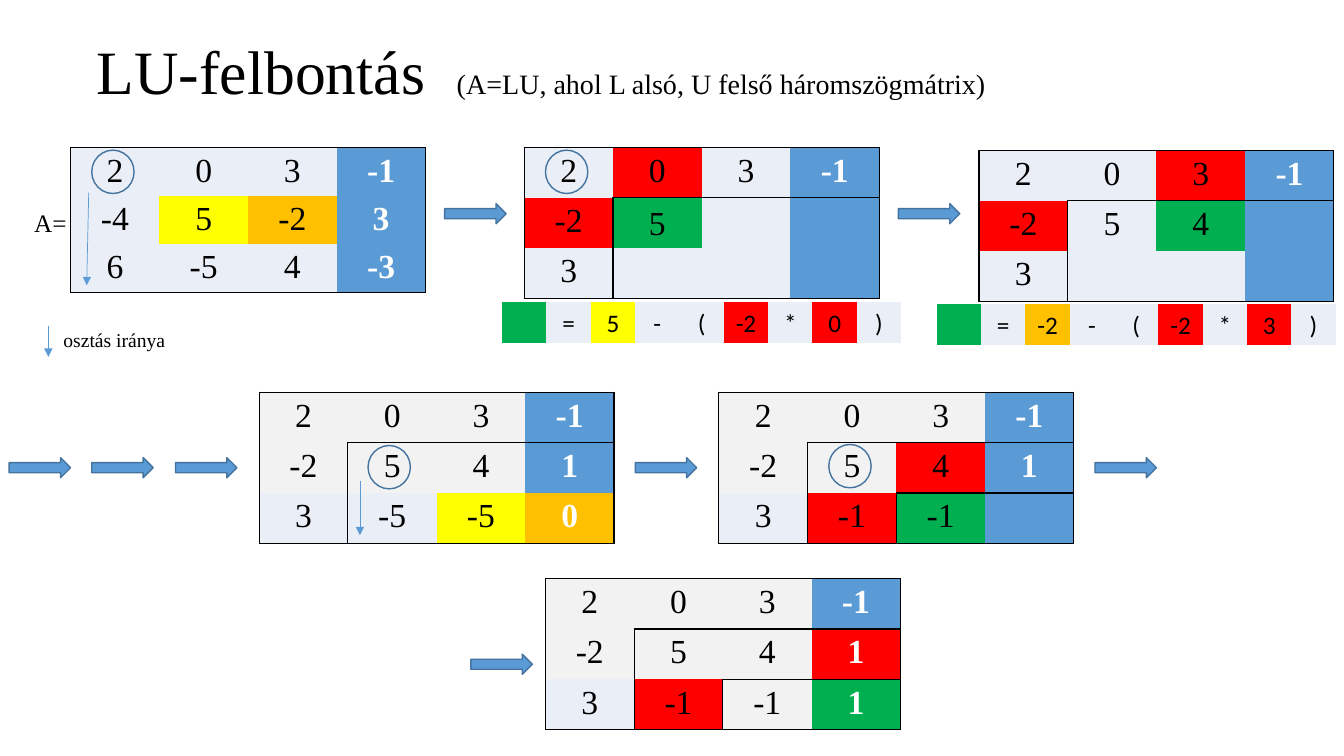
from lxml import etree
from pptx import Presentation
from pptx.dml.color import RGBColor
from pptx.enum import shapes, text
from pptx.oxml import ns
from pptx.util import Inches, Pt

BLACK = RGBColor(0, 0, 0)
WHITE = RGBColor(255, 255, 255)
BLUE = RGBColor(0x5B, 0x9B, 0xD5)
DARK_BLUE = RGBColor(0x43, 0x73, 0x9E)
FILLS = {
    "L": RGBColor(0xEA, 0xEF, 0xF7),
    "G": RGBColor(0xF2, 0xF2, 0xF2),
    "B": BLUE,
    "R": RGBColor(0xFF, 0, 0),
    "Y": RGBColor(0xFF, 0xFF, 0),
    "O": RGBColor(0xFF, 0xC0, 0),
    "N": RGBColor(0, 0xB0, 0x50),
}
SERIF = "Times New Roman"
SANS = "Calibri"
EMPTY = "."


def sub(parent, tag, **attrs):
    return etree.SubElement(parent, ns.qn(tag), **attrs)


class SlideBuilder:
    def __init__(self, s):
        self.s = s

    def style(self, r, size, font=SERIF, color=BLACK, bold=False):
        r.font.size = Pt(size)
        r.font.name = font
        r.font.color.rgb = color
        r.font.bold = bold

    def title(self, heading, note):
        sp = self.s.shapes.title
        sp.left, sp.top = Inches(0.86), Inches(0.01)
        sp.width, sp.height = Inches(11.5), Inches(1.45)
        tf = sp.text_frame
        tf.auto_size = text.MSO_AUTO_SIZE.NONE
        tf.vertical_anchor = text.MSO_ANCHOR.MIDDLE
        p = tf.paragraphs[0]
        p.alignment = text.PP_ALIGN.LEFT
        p.line_spacing = 0.9
        tabs = sub(p._p.get_or_add_pPr(), "a:tabLst")
        sub(tabs, "a:tab", pos=str(Inches(3.57)), algn="l")
        for words, size in ((heading + "\t", 44), (note, 20)):
            r = p.add_run()
            r.text = words
            self.style(r, size)

    def label(self, words, x, y, w, h, size):
        tf = self.s.shapes.add_textbox(Inches(x), Inches(y), Inches(w), Inches(h)).text_frame
        tf.word_wrap = False
        tf.auto_size = text.MSO_AUTO_SIZE.SHAPE_TO_FIT_TEXT
        tf.text = words
        self.style(tf.paragraphs[0].runs[0], size)

    def shape(self, kind, x, y, w, h, fill=None):
        sp = self.s.shapes.add_shape(kind, Inches(x), Inches(y), Inches(w), Inches(h))
        sp.shadow.inherit = False
        if fill is None:
            sp.fill.background()
        else:
            sp.fill.solid()
            sp.fill.fore_color.rgb = fill
        sp.line.color.rgb = DARK_BLUE
        sp.line.width = Pt(1)

    def block_arrow(self, x, y):
        self.shape(shapes.MSO_SHAPE.RIGHT_ARROW, x, y, 0.61, 0.2, BLUE)

    def pivot_ring(self, x, y):
        self.shape(shapes.MSO_SHAPE.OVAL, x, y, 0.42, 0.43)

    def thin_arrow(self, x1, y1, x2, y2):
        c = self.s.shapes.add_connector(
            shapes.MSO_CONNECTOR.STRAIGHT, Inches(x1), Inches(y1), Inches(x2), Inches(y2))
        c.line.color.rgb = BLUE
        c.line.width = Pt(0.5)
        sub(c.line._get_or_add_ln(), "a:tailEnd", type="triangle")
        sub(c._element.spPr, "a:effectLst")

    def borders(self, cell, edges):
        tcPr = cell._tc.get_or_add_tcPr()
        for side in "LRTB":
            ln = sub(tcPr, "a:ln" + side, w=str(Pt(1)))
            if side in edges:
                sub(sub(ln, "a:solidFill"), "a:srgbClr", val=str(BLACK))
            else:
                sub(ln, "a:noFill")

    def table(self, x, y, col_w, row_h, values, fills, edges_at, **font):
        rows = [row.split() for row in values]
        n, m = len(rows), len(rows[0])
        tbl = self.s.shapes.add_table(
            n, m, Inches(x), Inches(y), Inches(col_w * m), Inches(row_h * n)).table
        tbl.first_row = tbl.horz_banding = False
        for col in tbl.columns:
            col.width = Inches(col_w)
        for i, (row, codes) in enumerate(zip(rows, fills.split())):
            tbl.rows[i].height = Inches(row_h)
            for j, (value, code) in enumerate(zip(row, codes)):
                cell = tbl.cell(i, j)
                cell.margin_bottom = Inches(0.03)
                self.borders(cell, edges_at(i, j))
                cell.fill.solid()
                cell.fill.fore_color.rgb = FILLS[code]
                if value != EMPTY:
                    cell.text = value
                    p = cell.text_frame.paragraphs[0]
                    p.alignment = text.PP_ALIGN.CENTER
                    last = n > 1 and j == m - 1
                    self.style(p.runs[0], color=WHITE if last else BLACK, bold=last, **font)
        return tbl

    def matrix(self, x, y, values, fills, steps=0, row_h=0.5):
        def edges_at(i, j):
            edges = {side for side, hit in zip("LRTB", (j == 0, j == 3, i == 0, i == 2)) if hit}
            for k in range(1, steps + 1):
                if i >= k and j in (k - 1, k):
                    edges.add("L" if j == k else "R")
                if j >= k and i in (k - 1, k):
                    edges.add("T" if i == k else "B")
            return edges

        return self.table(x, y, 0.88, row_h, values, fills, edges_at, size=24)

    def formula(self, x, y, values, fills):
        tbl = self.table(x, y, 0.44, 0.4, [values], fills, lambda i, j: "", size=18, font=SANS)
        for cell in tbl.iter_cells():
            cell.vertical_anchor = text.MSO_ANCHOR.MIDDLE


prs = Presentation()
prs.slide_width, prs.slide_height = Inches(13.33), Inches(7.5)
b = SlideBuilder(prs.slides.add_slide(prs.slide_layouts[5]))

b.title("LU-felbontás", "(A=LU, ahol L alsó, U felső háromszögmátrix)")
b.label("A=", 0.24, 2.01, 0.53, 0.4, 18)

TOP_ROW = "2 0 3 -1"
b.matrix(0.7, 1.46, [TOP_ROW, "-4 5 -2 3", "6 -5 4 -3"], "LLLB LYOB LLLB", row_h=0.47)
first_step = b.matrix(5.2, 1.46, [TOP_ROW, "-2 5 . .", "3 . . ."], "LRLB RNLB LLLB", 1)
first_step.cell(1, 1).vertical_anchor = text.MSO_ANCHOR.MIDDLE
b.matrix(9.71, 1.49, [TOP_ROW, "-2 5 4 .", "3 . . ."], "LLRB RLNB LLLB", 1)
b.matrix(2.57, 3.89, [TOP_ROW, "-2 5 4 1", "3 -5 -5 0"], "GGGB GGGB LLYO", 1)
b.matrix(7.13, 3.89, [TOP_ROW, "-2 5 4 1", "3 -1 -1 ."], "GGGB GGRB LRNB", 2)
b.matrix(5.41, 5.74, [TOP_ROW, "-2 5 4 1", "3 -1 -1 1"], "GGGB GGGR LRGN", 2)

b.formula(4.98, 3, ". = 5 - ( -2 * 0 )", "NLYLLRLRL")
b.formula(9.29, 3.02, ". = -2 - ( -2 * 3 )", "NLOLLRLRL")

for y, lefts in ((2.02, (4.41, 8.91)), (4.54, (0.09, 0.91, 1.74, 6.3, 10.86)), (6.49, (4.67,))):
    for x in lefts:
        b.block_arrow(x, y)

for x, y in ((0.91, 1.49), (5.41, 1.49), (3.65, 4.42), (8.22, 4.41)):
    b.pivot_ring(x, y)

for ends in ((0.88, 1.91, 0.86, 2.83), (3.57, 4.77, 3.57, 5.31), (0.48, 3.23, 0.48, 3.54)):
    b.thin_arrow(*ends)
b.label("osztás iránya", 0.53, 3.2, 1.22, 0.34, 14)

prs.save("out.pptx")
